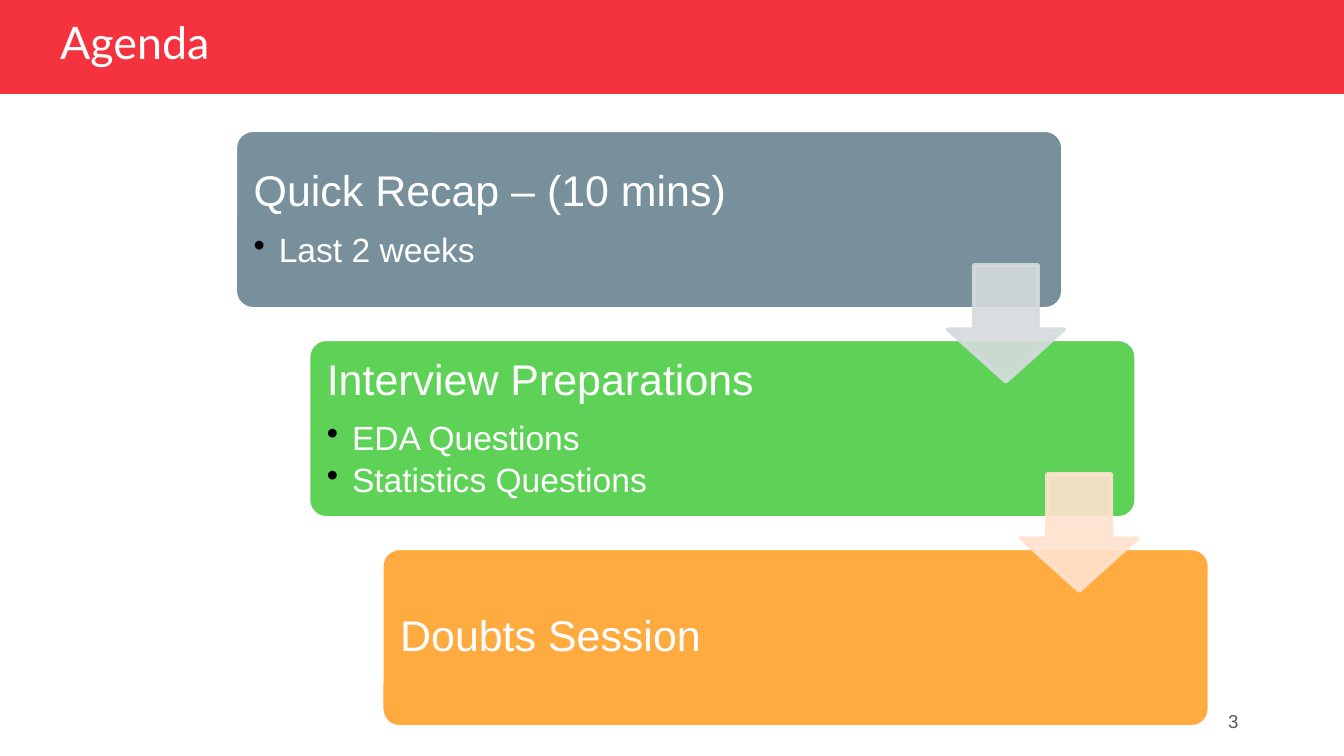
from dataclasses import dataclass

from lxml import etree
from pptx import Presentation
from pptx import util as u
from pptx.dml.color import RGBColor
from pptx.enum import shapes, text
from pptx.oxml import ns
from pptx.shapes.autoshape import Shape
from pptx.slide import Slide
from pptx.text.text import TextFrame, _Paragraph

RED = RGBColor(0xF5, 0x33, 0x3F)
WHITE = RGBColor(0xFF, 0xFF, 0xFF)
BLACK = RGBColor(0x00, 0x00, 0x00)
SLATE = RGBColor(0x78, 0x90, 0x9C)
GREEN = RGBColor(0x5E, 0xD2, 0x57)
ORANGE = RGBColor(0xFF, 0xAB, 0x40)
PALE_GREY = RGBColor(0xD6, 0xDB, 0xDE)
PALE_PEACH = RGBColor(0xFF, 0xE2, 0xCE)
GREY = RGBColor(0x59, 0x59, 0x59)

# Staircase geometry, in points
FIRST_LEFT, FIRST_TOP = 126, 69.75
STEP_X, STEP_Y = 39.25, 112
CARD_W, CARD_H = 443.5, 95.75
ARROW_SIZE, ARROW_DX, ARROW_DY = 62.6, 381.6, 72.25
BULLET_INDENT = 13.5

HEADING = {"size": u.Pt(23), "name": "Arial"}
BULLET = {"size": u.Pt(18), "name": "Arial"}


@dataclass(frozen=True)
class Step:
    heading: str
    bullets: tuple[str, ...]
    fill: RGBColor
    arrow: RGBColor | None = None


@dataclass(frozen=True)
class Box:
    left: float
    top: float
    width: float
    height: float

    def in_points(self) -> tuple[u.Pt, ...]:
        return tuple(u.Pt(v) for v in (self.left, self.top, self.width, self.height))


AGENDA = (
    Step("Quick Recap – (10 mins)", ("Last 2 weeks",), SLATE, PALE_GREY),
    Step("Interview Preparations", ("EDA Questions", "Statistics Questions"),
         GREEN, PALE_PEACH),
    Step("Doubts Session", (), ORANGE),
)


def style(paragraph: _Paragraph, font: dict, color: RGBColor, **layout) -> None:
    for key, value in layout.items():
        setattr(paragraph, key, value)
    for key, value in font.items():
        setattr(paragraph.font, key, value)
    paragraph.font.color.rgb = color


def set_frame(frame: TextFrame, inset_y: float) -> None:
    settings = {
        "word_wrap": True, "auto_size": text.MSO_AUTO_SIZE.NONE,
        "vertical_anchor": text.MSO_ANCHOR.MIDDLE,
        "margin_left": u.Pt(7.2), "margin_right": u.Pt(7.2),
        "margin_top": u.Pt(inset_y), "margin_bottom": u.Pt(inset_y),
    }
    for key, value in settings.items():
        setattr(frame, key, value)


def add_bullet(paragraph: _Paragraph) -> None:
    props = paragraph._p.get_or_add_pPr()
    props.set("marL", str(u.Pt(BULLET_INDENT)))
    props.set("indent", str(-u.Pt(BULLET_INDENT)))
    color = etree.SubElement(props, ns.qn("a:buClr"))
    etree.SubElement(color, ns.qn("a:srgbClr"), val=str(BLACK))
    etree.SubElement(props, ns.qn("a:buChar"), char="•")


def add_filled(slide: Slide, kind: shapes.MSO_SHAPE, box: Box, fill: RGBColor,
               line: RGBColor | None = None,
               adjustments: tuple[float, ...] = ()) -> Shape:
    shape = slide.shapes.add_shape(kind, *box.in_points())
    shape.shadow.inherit = False
    shape.fill.solid()
    shape.fill.fore_color.rgb = fill
    if line is None:
        shape.line.fill.background()
    else:
        shape.line.color.rgb = line
        shape.line.width = u.Pt(2)
    for index, value in enumerate(adjustments):
        shape.adjustments[index] = value
    return shape


def add_step(slide: Slide, step: Step, left: float, top: float) -> None:
    add_filled(slide, shapes.MSO_SHAPE.ROUNDED_RECTANGLE,
               Box(left, top, CARD_W, CARD_H), step.fill, WHITE, (0.1,))
    label = Box(left + 2.8, top + 2.5, 338, 90.75)
    frame = slide.shapes.add_textbox(*label.in_points()).text_frame
    set_frame(frame, 7.2)
    heading = frame.paragraphs[0]
    heading.text = step.heading
    style(heading, HEADING, WHITE, line_spacing=0.9, space_after=u.Pt(9))
    for item in step.bullets:
        bullet = frame.add_paragraph()
        bullet.text = item
        add_bullet(bullet)
        style(bullet, BULLET, WHITE, level=1, line_spacing=0.9, space_after=u.Pt(3))


def add_arrow(slide: Slide, color: RGBColor, left: float, top: float) -> None:
    arrow = add_filled(slide, shapes.MSO_SHAPE.DOWN_ARROW,
                       Box(left, top, ARROW_SIZE, ARROW_SIZE), color, color)
    arrow.adjustments[0] = 0.45  # head length
    arrow.adjustments[1] = 0.45
    arrow.adjustments[0] = 0.55  # shaft width
    for tint in arrow.element.spPr.iter(ns.qn("a:srgbClr")):
        etree.SubElement(tint, ns.qn("a:alpha"), val="90000")


def main() -> None:
    deck = Presentation()
    deck.slide_width, deck.slide_height = u.Pt(720), u.Pt(405)
    slide = deck.slides.add_slide(deck.slide_layouts[5])

    # Header band with the title in front of it
    band = add_filled(slide, shapes.MSO_SHAPE.RECTANGLE, Box(0, 0, 720, 50.25), RED)
    title = slide.shapes.title
    band.element.addnext(title.element)
    title.left, title.top, title.width, title.height = Box(25, 9.3, 294.5, 30).in_points()
    title.text_frame.text = "Agenda"
    set_frame(title.text_frame, 3.6)
    style(title.text_frame.paragraphs[0], {"size": u.Pt(24), "name": "Lato"}, WHITE,
          alignment=text.PP_ALIGN.LEFT, line_spacing=0.9)

    # Agenda steps, then the arrows over them
    corners = [(FIRST_LEFT + i * STEP_X, FIRST_TOP + i * STEP_Y)
               for i in range(len(AGENDA))]
    for step, (left, top) in zip(AGENDA, corners):
        add_step(slide, step, left, top)
    for step, (left, top) in zip(AGENDA, corners):
        if step.arrow is not None:
            add_arrow(slide, step.arrow, left + ARROW_DX, top + ARROW_DY)

    # Page number
    page_number = slide.shapes.add_textbox(*Box(508.5, 375.25, 162, 21.6).in_points())
    set_frame(page_number.text_frame, 3.6)
    page_number.text_frame.text = "3"
    style(page_number.text_frame.paragraphs[0], {"size": u.Pt(10), "name": "Arial"},
          GREY, alignment=text.PP_ALIGN.RIGHT)

    deck.save("out.pptx")


if __name__ == "__main__":
    main()
